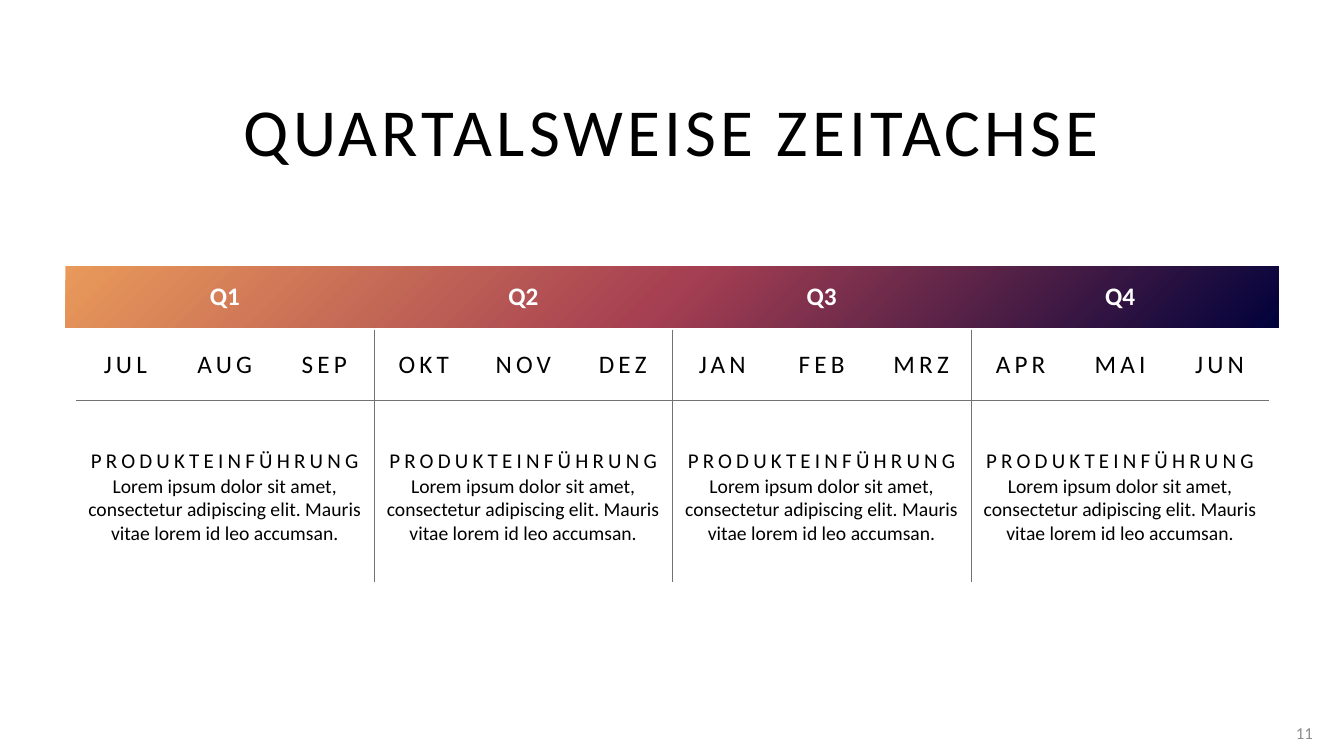
from pptx import Presentation
from pptx.dml.color import RGBColor
from pptx.enum.shapes import MSO_SHAPE
from pptx.enum.text import MSO_ANCHOR, PP_ALIGN
from pptx.oxml import parse_xml
from pptx.oxml.ns import nsdecls
from pptx.util import Inches, Pt

FONT = "Calibri"
COLORS = {
    "navy": "01023B",
    "wine": "A53F52",
    "orange": "E9995A",
    "black": "000000",
    "white": "FFFFFF",
    "rule": "767171",
    "number": "8C8C8C",
}
QUARTERS = {
    "Q1": ["JUL", "AUG", "SEP"],
    "Q2": ["OKT", "NOV", "DEZ"],
    "Q3": ["JAN", "FEB", "MRZ"],
    "Q4": ["APR", "MAI", "JUN"],
}
HEADING = "PRODUKTEINFÜHRUNG"
BODY = ("Lorem ipsum dolor sit amet, consectetur adipiscing elit. "
        "Mauris vitae lorem id leo accumsan.")
ROW_HEIGHTS = [0.64, 0.7, 1.8]


def add_run(p, text, size, color="black", bold=False, spacing=0,
            align=PP_ALIGN.CENTER):
    p.alignment = align
    r = p.add_run()
    r.text = text
    r.font.name = FONT
    r.font.size = Pt(size)
    r.font.bold = bold
    r.font.color.rgb = RGBColor.from_string(COLORS[color])
    if spacing:
        r.font._element.set("spc", str(spacing * 100))


def add_text(slide, box, text, size, **style):
    tf = slide.shapes.add_textbox(*map(Inches, box)).text_frame
    tf.word_wrap = True
    tf.vertical_anchor = MSO_ANCHOR.MIDDLE
    add_run(tf.paragraphs[0], text, size, **style)


def add_gradient_bar(slide, box):
    sp = slide.shapes.add_shape(MSO_SHAPE.RECTANGLE, *map(Inches, box))
    sp.shadow.inherit = False
    sp.line.fill.background()
    stops = "".join(
        f'<a:gs pos="{pos * 1000}"><a:srgbClr val="{COLORS[name]}"/></a:gs>'
        for pos, name in [(0, "navy"), (50, "wine"), (100, "orange")])
    grad = parse_xml(
        f'<a:gradFill {nsdecls("a")} rotWithShape="1"><a:gsLst>{stops}</a:gsLst>'
        '<a:path path="circle"><a:fillToRect l="100000" t="100000"/></a:path>'
        '</a:gradFill>')
    sp._element.spPr.find(
        "{http://schemas.openxmlformats.org/drawingml/2006/main}prstGeom"
    ).addnext(grad)


def style_cell(cell, sides):
    tcPr = cell._tc.get_or_add_tcPr()
    for side in "LRTB":
        fill = (f'<a:solidFill><a:srgbClr val="{COLORS["rule"]}"/></a:solidFill>'
                if side in sides else "<a:noFill/>")
        tcPr.append(parse_xml(
            f'<a:ln{side} {nsdecls("a")} w="3175">{fill}</a:ln{side}>'))
    cell.fill.background()
    cell.vertical_anchor = MSO_ANCHOR.MIDDLE


def add_timeline(slide, box):
    months = [m for names in QUARTERS.values() for m in names]
    last = len(months) - 1
    frame = slide.shapes.add_table(len(ROW_HEIGHTS), len(months),
                                   *map(Inches, box))
    table = frame.table
    table.first_row = table.horz_banding = False
    for column in table.columns:
        column.width = Inches(box[2] / len(months))
    for row, height in zip(table.rows, ROW_HEIGHTS):
        row.height = Inches(height)

    for row, horizontal in enumerate(["", "B", "T"]):
        span = 1 if row == 1 else 3
        for col in range(len(months)):
            sides = horizontal
            end = col + span - 1
            if row and col and col % 3 == 0:
                sides += "L"
            if row and end < last and end % 3 == 2:
                sides += "R"
            style_cell(table.cell(row, col), sides)

    for i, quarter in enumerate(QUARTERS):
        col = i * 3
        for row in (0, 2):
            table.cell(row, col).merge(table.cell(row, col + 2))
        add_run(table.cell(0, col).text_frame.paragraphs[0], quarter, 18,
                color="white", bold=True)
        tf = table.cell(2, col).text_frame
        p = tf.paragraphs[0]
        p.line_spacing = 1.5
        add_run(p, HEADING, 15, spacing=3)
        add_run(tf.add_paragraph(), BODY, 14)
    for col, month in enumerate(months):
        add_run(table.cell(1, col).text_frame.paragraphs[0], month, 18,
                spacing=3)


def main():
    prs = Presentation()
    prs.slide_width = Inches(13.33)
    prs.slide_height = Inches(7.5)
    slide = prs.slides.add_slide(prs.slide_layouts[6])
    add_gradient_bar(slide, (0.65, 2.64, 12.03, 0.61))
    add_text(slide, (0.65, 0.84, 12.03, 0.9), "QUARTALSWEISE ZEITACHSE", 48,
             spacing=3)
    add_timeline(slide, (0.75, 2.63, 11.84, sum(ROW_HEIGHTS)))
    add_text(slide, (12.63, 7.07, 0.49, 0.4), "11", 12, color="number",
             align=PP_ALIGN.RIGHT)
    prs.save("out.pptx")


if __name__ == "__main__":
    main()
